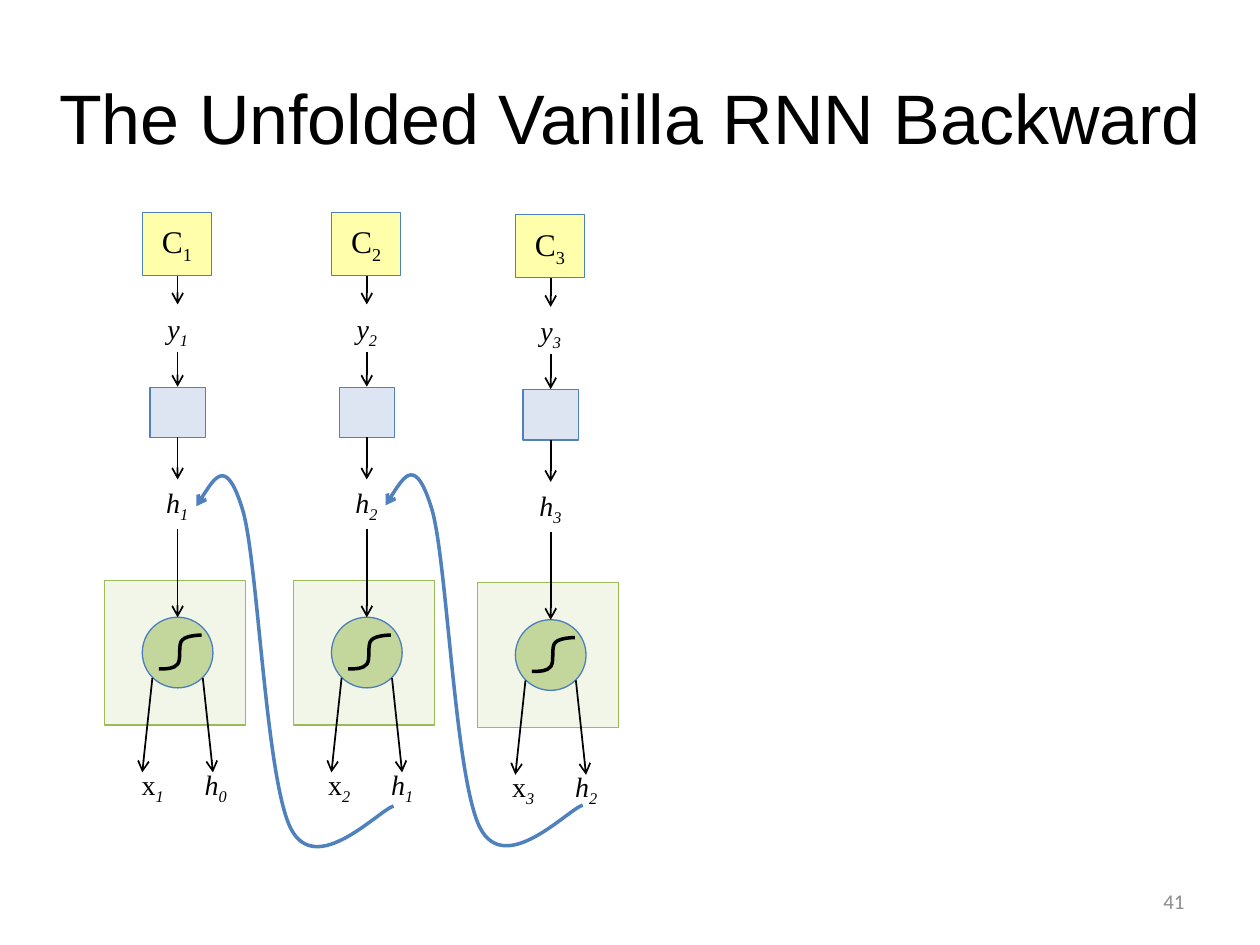
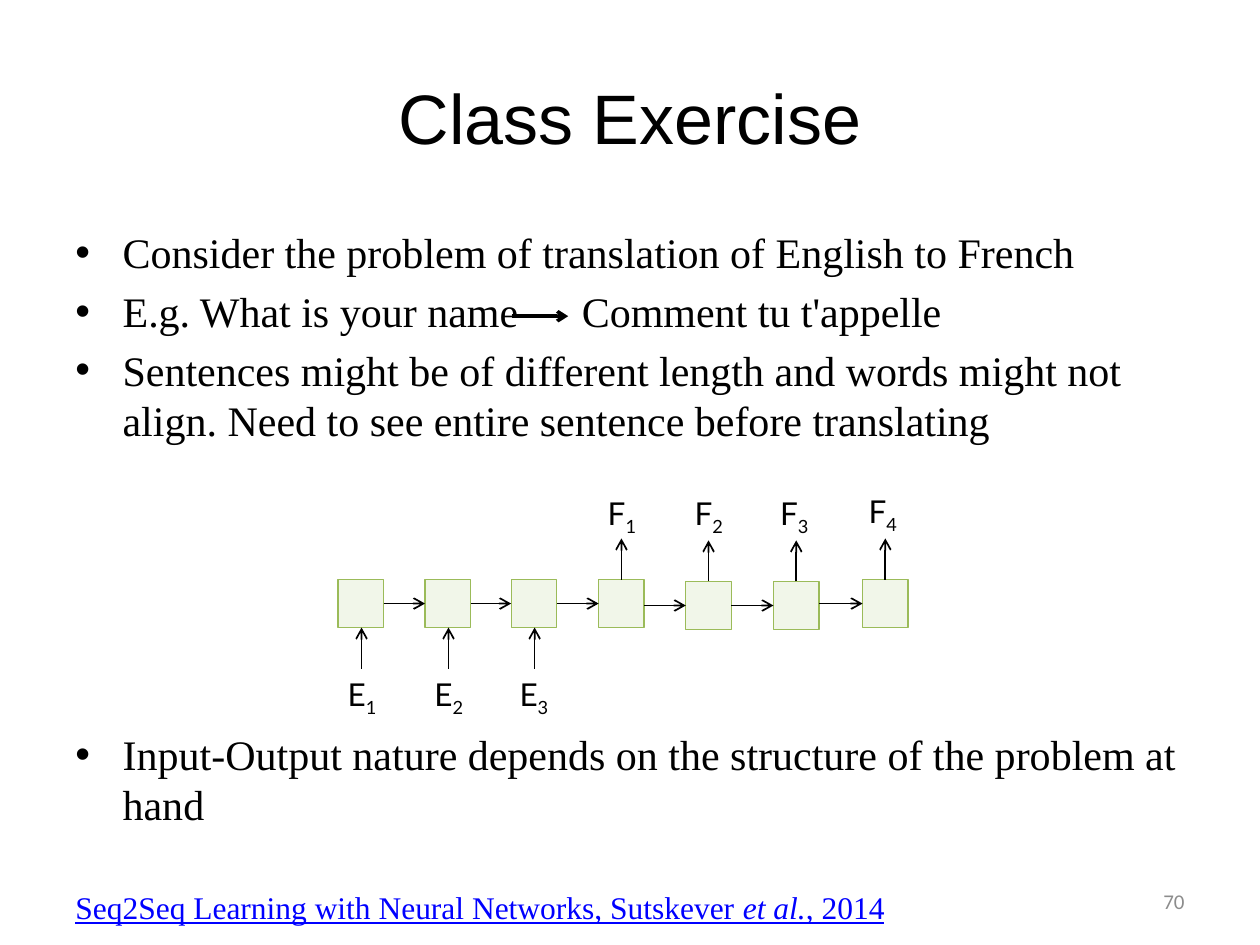
from dataclasses import dataclass

from lxml import etree
from pptx import Presentation
from pptx.dml.color import RGBColor
from pptx.enum.shapes import MSO_CONNECTOR, MSO_SHAPE
from pptx.enum.text import MSO_ANCHOR, PP_ALIGN
from pptx.oxml.ns import qn
from pptx.util import Pt

LEFT, CENTER, RIGHT = PP_ALIGN.LEFT, PP_ALIGN.CENTER, PP_ALIGN.RIGHT
TOP, MIDDLE = MSO_ANCHOR.TOP, MSO_ANCHOR.MIDDLE
RECTANGLE, OVAL = MSO_SHAPE.RECTANGLE, MSO_SHAPE.OVAL
STRAIGHT = MSO_CONNECTOR.STRAIGHT


@dataclass(frozen=True)
class Theme:
    black: str = "000000"
    gray: str = "8C8C8C"
    link: str = "0000FF"
    blue: str = "4F81BD"
    circle_line: str = "4B7EBC"
    pale_blue: str = "95B3D7"
    yellow: str = "FFFF00"
    green: str = "9BBB59"
    pale_green: str = "D7E4BD"
    circle_green: str = "C3D69B"
    tint: int = 33
    outline: float = 0.75
    thin: float = 1
    thick: float = 2


THEME = Theme()
TITLE = {"name": "Arial", "size": Pt(40)}
NUMBER = {"name": "Calibri", "size": Pt(12), "color": THEME.gray}
BODY = {"name": "Times New Roman", "size": Pt(24)}
COST = {**BODY, "size": Pt(18)}
SYMBOL = {**BODY, "size": Pt(16)}
ITALIC_SYMBOL = {**SYMBOL, "italic": True}
SEQUENCE_LABEL = {"name": "Lato", "size": Pt(18)}
CITATION = {**COST, "color": THEME.link, "underline": True}
SUBSCRIPT = {"baseline": "-25000"}

RNN_TITLE = "The Unfolded Vanilla RNN Backward"
TIME_STEPS = [
    {"step": "1", "previous": "0", "center": 101.5, "drop": 0, "input_stops": (14.1, 43.3)},
    {"step": "2", "previous": "1", "center": 209.6, "drop": 0, "input_stops": (12.5, 45)},
    {"step": "3", "previous": "2", "center": 314.7, "drop": 1.4, "input_stops": (12.5, 45)},
]
STEP_ARROWS = [
    ((0, 157.6), (0, 174)),
    ((0, 201), (0, 221)),
    ((0, 250), (0, 274)),
    ((0, 302.4), (0, 352.8)),
    ((-14.4, 387.4), (-20.2, 441.4)),
    ((14.4, 387.4), (20.2, 441.4)),
]
SIGMOID_SIZE = (24.5, 19.6)
SIGMOID = [
    (0, 19.4), (4.3, 19.4), (8.6, 19.4), (10.8, 16.6), (13, 13.7),
    (10.8, 5.4), (13.3, 2.9), (15.8, 0), (24.5, 0), (24.5, 0),
]
FEEDBACK_SIZE = (112.6, 210.2)
FEEDBACK = [
    (0, 15.9), (8.6, 1.7), (17.3, -12.4), (26.6, 18.7), (35.3, 49.7),
    (39.6, 172.1), (54, 200.2), (68.4, 228.2), (103.7, 190.1), (112.6, 187.2),
]
FEEDBACK_ORIGINS = [(112.3, 273.4), (220.4, 272.9)]

EXERCISE_TITLE = "Class Exercise"
BULLETS = [
    ("Consider the problem of translation of English to French", 0),
    ("E.g. What is your name\tComment tu t'appelle", 4.8),
    ("Sentences might be of different length and words might not align. "
     "Need to see entire sentence before translating", 4.8),
    ("Input-Output nature depends on the structure of the problem at hand", 161.9),
]
CITATION_RUNS = [
    ("Seq2Seq Learning with Neural Networks, Sutskever ", {}),
    ("et al.", {"italic": True}),
    (", 2014", {}),
]
SEQUENCE = [
    ("E", "1", 206.2, 331.2, 206.9), ("E", "2", 255.9, 331.2, 256.5),
    ("E", "3", 305.1, 331.2, 305.1), ("F", "1", 355.1, 331.2, 355.4),
    ("F", "2", 404.9, 332.3, 405), ("F", "3", 455, 332.3, 453.9),
    ("F", "4", 505.9, 331.2, 504.4),
]


def rgb(color):
    return RGBColor.from_string(color)


def add_run(paragraph, text, style):
    run = paragraph.add_run()
    run.text = text
    values = {"color": THEME.black, **style}
    run.font.color.rgb = rgb(values.pop("color"))
    baseline = values.pop("baseline", None)
    if baseline:
        run._r.get_or_add_rPr().set("baseline", baseline)
    for name, value in values.items():
        setattr(run.font, name, value)


def set_frame(shape, margin=7.2, anchor=TOP):
    frame = shape.text_frame
    values = {
        "word_wrap": True, "vertical_anchor": anchor,
        "margin_left": Pt(margin), "margin_right": Pt(margin),
        "margin_top": Pt(3.6), "margin_bottom": Pt(3.6),
    }
    for name, value in values.items():
        setattr(frame, name, value)
    return frame


def add_text(slide, box, runs, style, align=LEFT, anchor=TOP, margin=7.2, stops=None):
    shape = slide.shapes.add_textbox(*map(Pt, box))
    paragraph = set_frame(shape, margin, anchor).paragraphs[0]
    paragraph.alignment = align
    if stops:
        set_indent(paragraph, stops[0], 0)
        add_tab(paragraph, stops[1])
    for text, changes in runs:
        add_run(paragraph, text, {**style, **changes})


def set_indent(paragraph, left, first):
    properties = paragraph._p.get_or_add_pPr()
    properties.set("marL", str(Pt(left)))
    properties.set("indent", str(Pt(first)))


def add_tab(paragraph, position):
    tabs = etree.SubElement(paragraph._p.get_or_add_pPr(), qn("a:tabLst"))
    tab = etree.SubElement(tabs, qn("a:tab"))
    tab.set("pos", str(Pt(position)))
    tab.set("algn", "l")


def add_label(slide, center, top, size, letter, index, style):
    width, height = size
    add_text(slide, (center - width / 2, top, width, height),
             [(letter, {}), (index, SUBSCRIPT)], style, CENTER, margin=0)


def add_block(slide, kind, center, top, size, fill, line, alpha=None):
    width, height = size
    shape = slide.shapes.add_shape(
        kind, Pt(center - width / 2), Pt(top), Pt(width), Pt(height))
    shape.shadow.inherit = False
    shape.fill.solid()
    shape.fill.fore_color.rgb = rgb(fill)
    if alpha:
        color = shape._element.spPr.find(qn("a:solidFill"))[0]
        etree.SubElement(color, qn("a:alpha")).set("val", str(alpha * 1000))
    shape.line.color.rgb = rgb(line)
    shape.line.width = Pt(THEME.outline)
    return shape


def add_line_end(shape, tag):
    line = shape.line._get_or_add_ln()
    etree.SubElement(line, qn(tag)).set("type", "arrow")


def add_arrow(slide, start, end, width=THEME.thin):
    arrow = slide.shapes.add_connector(STRAIGHT, *map(Pt, (*start, *end)))
    arrow.line.color.rgb = rgb(THEME.black)
    arrow.line.width = Pt(width)
    add_line_end(arrow, "a:tailEnd")
    etree.SubElement(arrow._element.spPr, qn("a:effectLst"))


def add_curve(slide, origin, size, controls, color):
    (left, top), (width, height) = origin, size
    builder = slide.shapes.build_freeform(Pt(left), Pt(top))
    builder.add_line_segments([(Pt(left + width), Pt(top + height))], close=False)
    curve = builder.convert_to_shape()
    outline = next(curve._element.iter(qn("a:path")))
    for child in list(outline):
        outline.remove(child)
    segments = [("a:moveTo", controls[:1])]
    segments += [("a:cubicBezTo", controls[i:i + 3]) for i in range(1, len(controls), 3)]
    for tag, points in segments:
        segment = etree.SubElement(outline, qn(tag))
        for x, y in points:
            point = etree.SubElement(segment, qn("a:pt"))
            point.set("x", str(Pt(x)))
            point.set("y", str(Pt(y)))
    curve.shadow.inherit = False
    curve.fill.background()
    curve.line.color.rgb = rgb(color)
    curve.line.width = Pt(THEME.thick)
    return curve


def add_slide(presentation, title, number, margin):
    slide = presentation.slides.add_slide(presentation.slide_layouts[6])
    add_text(slide, (margin, 21.6, 720 - 2 * margin, 90), [(title, {})],
             TITLE, CENTER, MIDDLE)
    add_text(slide, (516, 500.4, 168, 28.8), [(number, {})], NUMBER, RIGHT, MIDDLE)
    return slide


def add_time_step(slide, step, previous, center, drop, input_stops):
    add_block(slide, RECTANGLE, center - 1.5, 331.5 + drop, (80.6, 82.8),
              THEME.pale_green, THEME.green, THEME.tint)
    add_block(slide, OVAL, center, 352.7 + drop, (40.4, 40.4),
              THEME.circle_green, THEME.circle_line)
    add_curve(slide, (center - 10.7, 362.9 + drop), SIGMOID_SIZE, SIGMOID, THEME.black)
    add_block(slide, RECTANGLE, center, 221.3 + drop, (31.6, 28.8),
              THEME.pale_blue, THEME.blue, THEME.tint)
    cost = add_block(slide, RECTANGLE, center - 0.4, 121.3 + drop, (39.6, 36),
                     THEME.yellow, THEME.blue, THEME.tint)
    paragraph = set_frame(cost, anchor=MIDDLE).paragraphs[0]
    paragraph.alignment = CENTER
    add_run(paragraph, "C", COST)
    add_run(paragraph, step, {**COST, **SUBSCRIPT})
    for start, end in STEP_ARROWS:
        add_arrow(slide, *((center + x, y + drop) for x, y in (start, end)))
    add_label(slide, center, 174.4 + drop, (31, 26.6), "y", step, ITALIC_SYMBOL)
    add_label(slide, center - 0.2, 274 + drop, (31.6, 26.6), "h", step, ITALIC_SYMBOL)
    inputs = [("x", {"italic": False}), (step, SUBSCRIPT), ("\th", {}), (previous, SUBSCRIPT)]
    add_text(slide, (center - 41.7, 435 + drop, 80.6, 39.6), inputs,
             ITALIC_SYMBOL, stops=input_stops)


def build_rnn(presentation):
    slide = add_slide(presentation, RNN_TITLE, "41", 0)
    for time_step in TIME_STEPS:
        add_time_step(slide, **time_step)
    for origin in FEEDBACK_ORIGINS:
        curve = add_curve(slide, origin, FEEDBACK_SIZE, FEEDBACK, THEME.blue)
        add_line_end(curve, "a:headEnd")


def add_bullets(slide):
    shape = slide.shapes.add_textbox(Pt(36), Pt(126), Pt(648), Pt(378))
    frame = set_frame(shape)
    for index, (text, space) in enumerate(BULLETS):
        paragraph = frame.add_paragraph() if index else frame.paragraphs[0]
        set_indent(paragraph, 27, -27)
        paragraph.space_before = Pt(space)
        properties = paragraph._p.get_or_add_pPr()
        etree.SubElement(properties, qn("a:buFont")).set("typeface", "Arial")
        etree.SubElement(properties, qn("a:buChar")).set("char", "•")
        if "\t" in text:
            add_tab(paragraph, 289.4)
        add_run(paragraph, text, BODY)


def add_sequence(slide, width=26, height=27.4, reach=23.5):
    previous_right = None
    for letter, number, center, top, label_center in SEQUENCE:
        add_block(slide, RECTANGLE, center, top, (width, height),
                  THEME.pale_green, THEME.green, THEME.tint)
        if previous_right:
            middle = top + height / 2
            add_arrow(slide, (previous_right, middle), (center - width / 2, middle))
        previous_right = center + width / 2
        if letter == "E":
            bottom = top + height
            add_arrow(slide, (center + 0.4, bottom + reach), (center + 0.4, bottom))
            label_top = 382.3
        else:
            add_arrow(slide, (center, top), (center, top - reach))
            label_top = 277.9 if number == "4" else 278.6
        add_label(slide, label_center, label_top, (35, 28.8), letter, number, SEQUENCE_LABEL)


def build_exercise(presentation):
    slide = add_slide(presentation, EXERCISE_TITLE, "70", 36)
    add_bullets(slide)
    add_arrow(slide, (292.4, 180.7), (324.7, 180.7), THEME.thick)
    add_text(slide, (36, 504, 518.4, 28.8), CITATION_RUNS, CITATION)
    add_sequence(slide)


def main():
    presentation = Presentation()
    presentation.slide_width, presentation.slide_height = Pt(720), Pt(540)
    build_rnn(presentation)
    build_exercise(presentation)
    presentation.save("out.pptx")


if __name__ == "__main__":
    main()
